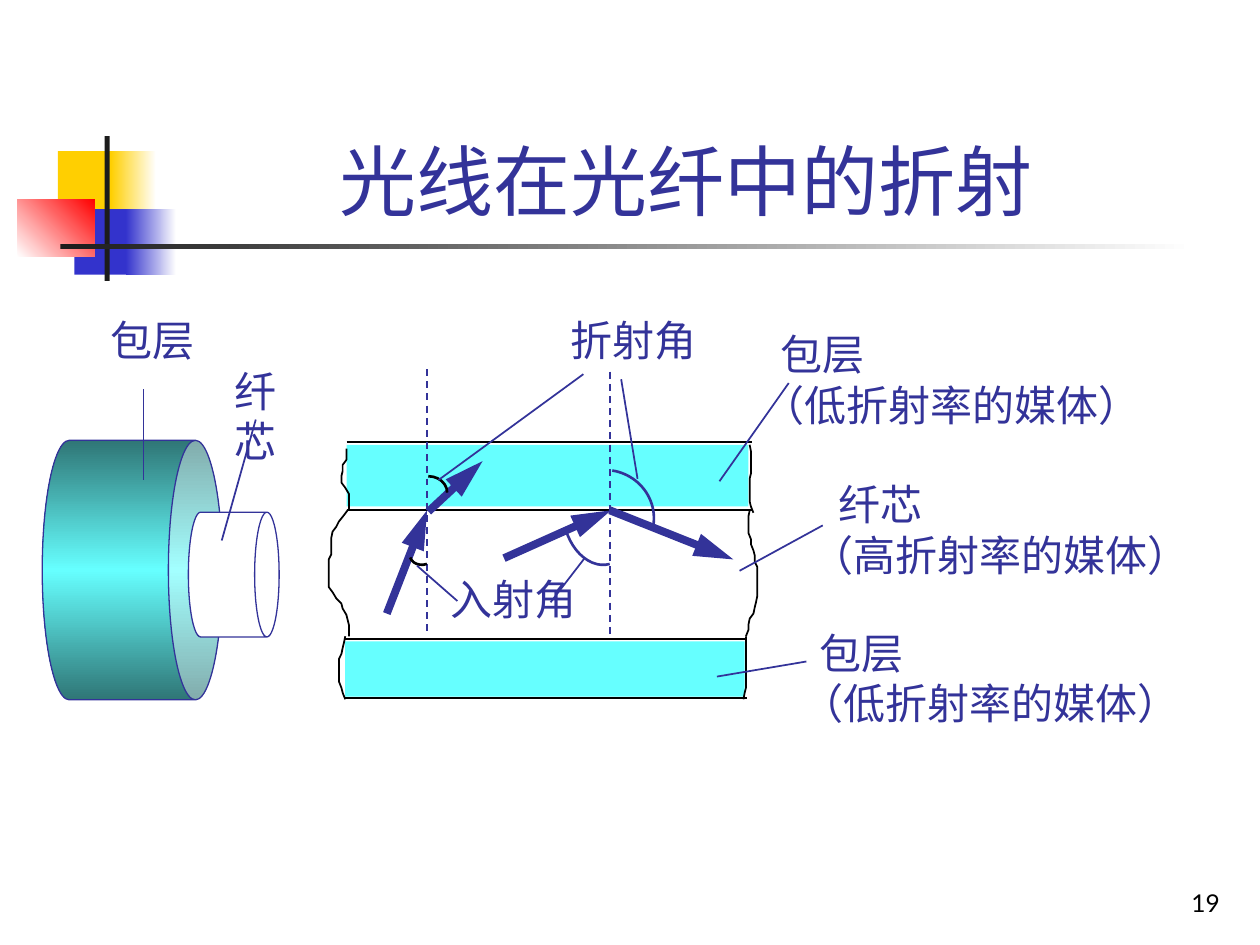
from copy import deepcopy
from lxml.etree import SubElement
from pptx import Presentation
from pptx.dml.color import RGBColor
from pptx.enum.dml import MSO_LINE_DASH_STYLE as DASH
from pptx.enum.shapes import MSO_CONNECTOR as CONNECTOR, MSO_SHAPE as SHAPE
from pptx.enum.text import MSO_ANCHOR as ANCHOR, PP_ALIGN as ALIGN
from pptx.oxml.ns import qn
from pptx.util import Pt

PX = 9144
BLUE, BLACK, WHITE, CYAN = "333399", "000000", "FFFFFF", "66FFFF"
rgb = RGBColor.from_string

deck = Presentation()
deck.slide_width, deck.slide_height = 1000 * PX, 750 * PX
page = deck.slides.add_slide(deck.slide_layouts[6])


def add_preset(kind, place, colors, angle=0):
    shape = page.shapes.add_shape(kind, *[n * PX for n in place])
    shape.shadow.inherit = False
    shape.line.fill.background()
    if len(colors) == 0:
        shape.fill.background()
    elif len(colors) == 1:
        shape.fill.solid()
        shape.fill.fore_color.rgb = rgb(colors[0])
    else:
        shape.fill.gradient()
        shape.fill.gradient_angle = angle
        stops = shape.fill.gradient_stops
        stops[0].color.rgb = rgb(colors[0])
        stops[1].color.rgb = rgb(colors[-1])
        if len(colors) == 3:
            stop_list = shape._element.spPr.find(qn("a:gradFill")).find(qn("a:gsLst"))
            middle = deepcopy(stop_list[0])
            middle.set("pos", "50000")
            stop_list.insert(1, middle)
            shape.fill.gradient_stops[1].color.rgb = rgb(colors[1])
    return shape


def add_line(start, end, color=BLUE, width=1, dashed=False, arrow=False):
    line = page.shapes.add_connector(
        CONNECTOR.STRAIGHT, *[n * PX for n in (*start, *end)])
    line.line.color.rgb = rgb(color)
    line.line.width = Pt(width)
    if dashed:
        line.line.dash_style = DASH.DASH
    if arrow:
        SubElement(line.line._get_or_add_ln(), qn("a:tailEnd"),
                   type="triangle", w="med", len="lg")
    SubElement(line._element.spPr, qn("a:effectLst"))


for place, colors, angle in [
    ((46, 120, 48, 52), ["FFCF01"], 0),
    ((88, 120, 36, 52), ["FFCF01", WHITE], 0),
    ((59, 166, 46, 52), ["3333CC"], 0),
    ((100, 166, 40, 52), ["3333CC", WHITE], 0),
    ((14, 158, 61, 46), [WHITE, "FF0000"], 45),
    ((83, 108, 4, 115), ["1C1C1C"], 0),
    ((48, 194, 900, 4), ["1C1C1C", WHITE], 0),
]:
    add_preset(SHAPE.RECTANGLE, place, colors, angle)

for left, right, top, bottom, cladding in [
    (275, 597, 351, 405, (275, 353, 319, 49)),
    (273, 593, 507, 554, (274, 509, 317, 44)),
]:
    for y in (top, bottom):
        add_line((left, y), (right, y), BLACK)
    add_preset(SHAPE.RECTANGLE, cladding, [CYAN])

for x, top in [(339, 293), (484, 295)]:
    add_line((x, top), (x, top + 212), dashed=True)

for start, end in [
    ((340, 406), (383, 366)),
    ((307, 487), (339, 405)),
    ((400, 443), (485, 405)),
    ((484, 405), (582, 444)),
]:
    add_line(start, end, width=4.5, arrow=True)

for x, y, radius_x, radius_y, start, rotation, color in [
    (336, 439, 11, 9, 90, -18, BLACK),
    (340, 391, 15, 13, 270, 0, BLACK),
    (474, 413, 26, 36, 90, -16, BLUE),
    (480, 411, 39, 38, 270, 9, BLUE),
]:
    place = (x - radius_x, y - radius_y, 2 * radius_x, 2 * radius_y)
    arc = add_preset(SHAPE.ARC, place, [])
    arc.adjustments[0] = start * 0.6
    arc.adjustments[1] = (start + 90) % 360 * 0.6
    arc.rotation = rotation
    arc.line.color.rgb = rgb(color)
    arc.line.width = Pt(1.5)

for top, bottom, edge in [
    (356, 405, [275, 275, 275, 272, 272, 271, 271, 274, 277, 277, 277, 277]),
    (405, 505, [276, 273, 269, 267, 264, 263, 263, 263, 263, 261, 261, 261,
                261, 261, 261, 264, 267, 271, 272, 275, 276, 277, 277, 277]),
    (505, 555, [274, 273, 272, 271, 269, 269, 269, 269, 269, 271, 272, 274]),
    (353, 407, [595, 596, 596, 596, 596, 596, 595, 595, 595, 595, 595, 596, 598]),
    (405, 505, [595, 594, 594, 594, 594, 596, 596, 598, 599, 599, 601, 601,
                601, 601, 601, 601, 600, 599, 598, 595, 594, 594, 592]),
    (505, 555, [592, 592, 592, 592, 592, 592, 592, 592, 592, 592, 591, 590]),
]:
    step = (bottom - top) / (len(edge) - 1)
    points = [(x, round(top + i * step)) for i, x in enumerate(edge)]
    builder = page.shapes.build_freeform(*points[0], scale=PX)
    builder.add_line_segments(points[1:], close=False)
    outline = builder.convert_to_shape()
    outline.shadow.inherit = False
    outline.fill.background()
    outline.line.color.rgb = rgb(BLACK)
    outline.line.width = Pt(1)

for place, colors, depth in [
    ((2, 381, 206, 143), ["2F7676", CYAN, "2F7676"], 0.3),
    ((136, 420, 99, 72), [WHITE], 0.27),
]:
    cylinder = add_preset(SHAPE.CAN, place, colors)
    cylinder.adjustments[0] = depth
    cylinder.rotation = 90
    cylinder.line.color.rgb = rgb(BLUE)
    cylinder.line.width = Pt(0.75)

for start, end in [
    ((493, 301), (506, 380)),
    ((348, 381), (463, 297)),
    ((331, 449), (363, 477)),
    ((437, 478), (464, 443)),
    ((587, 453), (653, 417)),
    ((626, 304), (571, 382)),
    ((640, 525), (569, 537)),
    ((114, 309), (114, 381)),
    ((203, 333), (176, 429)),
]:
    add_line(start, end)

LOW, HIGH = "包层\n（低折射率的媒体）", "纤芯\n（高折射率的媒体）"
for text, place, wrap, indent, size, font, color, align, anchor in [
    ("光线在光纤中的折射", (119, 24, 852, 160), True, 0, 44, "Arial", BLUE, ALIGN.CENTER, ANCHOR.BOTTOM),
    ("折射角", (443, 245, 120, 50), False, 0, 24, "Arial", BLUE, ALIGN.LEFT, ANCHOR.TOP),
    ("入射角", (348, 450, 120, 50), True, 0, 24, "Arial", BLUE, ALIGN.LEFT, ANCHOR.TOP),
    (LOW, (595, 256, 320, 90), False, 15, 24, "Arial", BLUE, ALIGN.LEFT, ANCHOR.TOP),
    (LOW, (626, 493, 320, 90), False, 15, 24, "Arial", BLUE, ALIGN.LEFT, ANCHOR.TOP),
    (HIGH, (634, 375, 348, 130), True, 22, 24, "Arial", BLUE, ALIGN.LEFT, ANCHOR.TOP),
    ("包层", (78, 245, 90, 50), True, 0, 24, "Arial", BLUE, ALIGN.LEFT, ANCHOR.TOP),
    ("纤芯", (176, 285, 76, 90), True, 0, 24, "Arial", BLUE, ALIGN.LEFT, ANCHOR.TOP),
    ("19", (770, 683, 208, 50), True, 0, 14, "Lato", BLACK, ALIGN.RIGHT, ANCHOR.BOTTOM),
]:
    box = page.shapes.add_textbox(*[n * PX for n in place])
    frame = box.text_frame
    frame.text = text
    frame.word_wrap = wrap
    frame.vertical_anchor = anchor
    for para in frame.paragraphs:
        para.alignment = align
        for span in para.runs:
            span.font.size = Pt(size)
            span.font.name = font
            span.font.color.rgb = rgb(color)
    if indent:
        frame.paragraphs[0]._p.get_or_add_pPr().set("marL", str(indent * PX))

deck.save("out.pptx")
